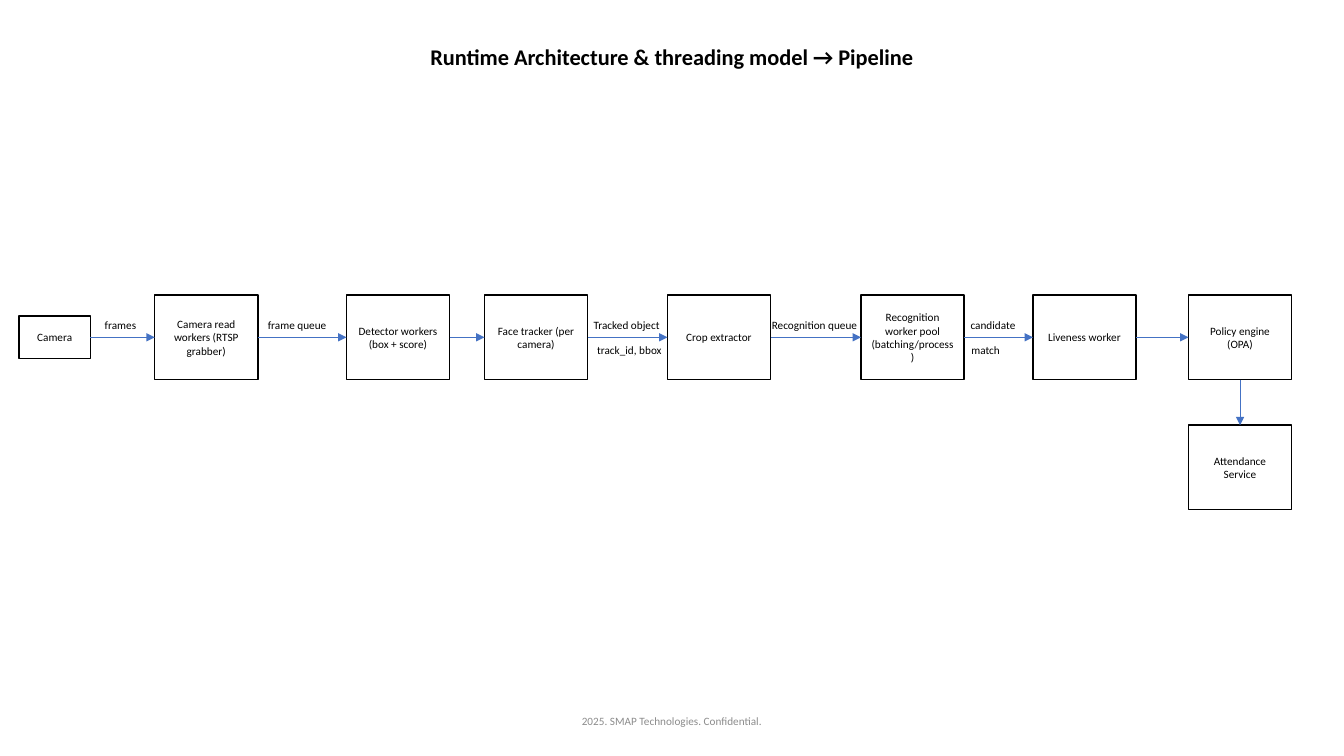
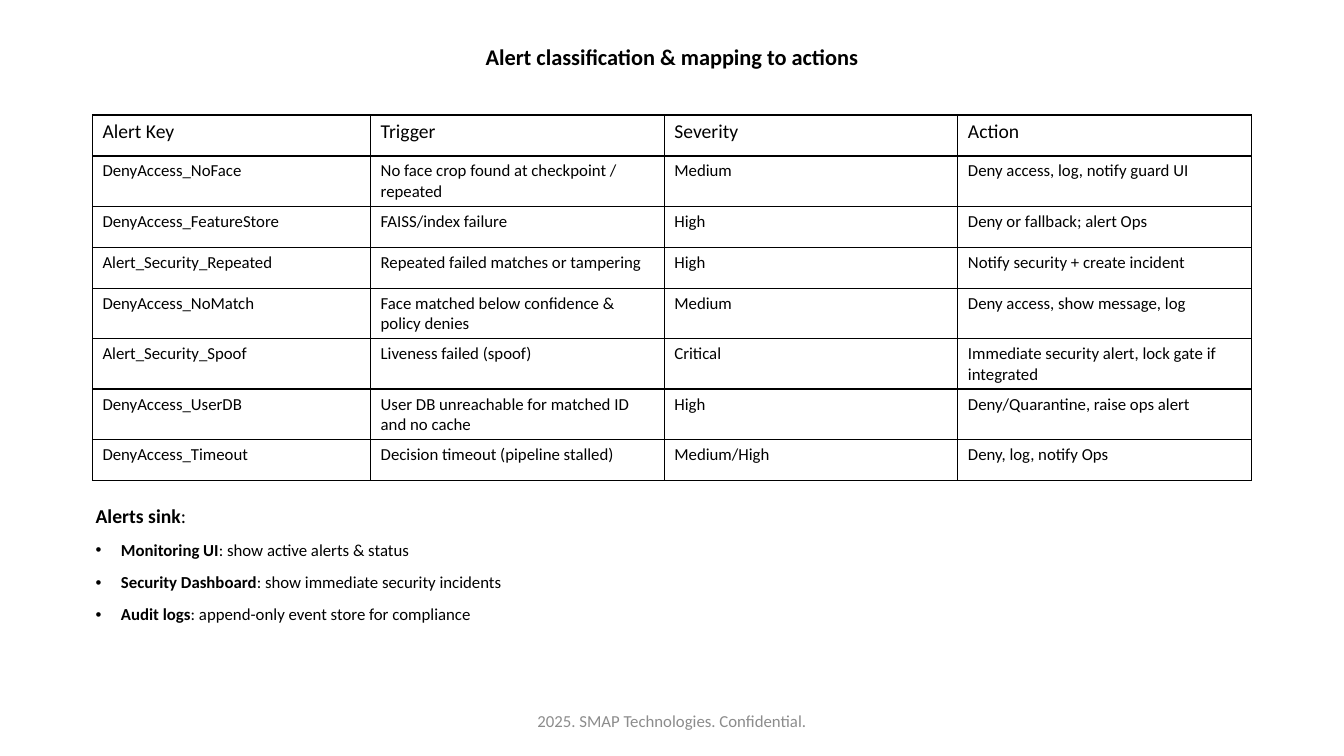
"""Builds two slides: the runtime pipeline and the alert mapping."""
from lxml.etree import SubElement
from pptx import Presentation
from pptx.dml.color import RGBColor
from pptx.enum.shapes import MSO_CONNECTOR, MSO_SHAPE
from pptx.enum.text import MSO_ANCHOR, PP_ALIGN
from pptx.oxml.ns import qn
from pptx.util import Cm, Pt

BLACK = RGBColor(0x00, 0x00, 0x00)
WHITE = RGBColor(0xFF, 0xFF, 0xFF)
GREY = RGBColor(0x8C, 0x8C, 0x8C)
BLUE = RGBColor(0x44, 0x72, 0xC4)
FONT = "Calibri"
TOP, LEFT, BOTTOM, RIGHT = range(4)


def add_run(paragraph, text, size, color=BLACK, bold=False):
    run = paragraph.add_run()
    run.text = text
    run.font.name = FONT
    run.font.size = Pt(size)
    run.font.bold = bold
    run.font.color.rgb = color


def add_frame(slide, left, top, width, height, wrap=True, anchor=MSO_ANCHOR.TOP):
    box = slide.shapes.add_textbox(Cm(left), Cm(top), Cm(width), Cm(height))
    box.text_frame.word_wrap = wrap
    box.text_frame.vertical_anchor = anchor
    return box.text_frame


prs = Presentation()
prs.slide_width, prs.slide_height = Cm(33.87), Cm(19.05)

slides = []
for heading, footer_size in [
    ("Runtime Architecture & threading model → Pipeline", 8),
    ("Alert classification & mapping to actions", 12),
]:
    slide = prs.slides.add_slide(prs.slide_layouts[6])
    title = add_frame(slide, 2.33, 1.02, 29.21, 0.89, anchor=MSO_ANCHOR.MIDDLE).paragraphs[0]
    title.alignment = PP_ALIGN.CENTER
    title.line_spacing = 0.9
    add_run(title, heading, 16, bold=True)
    footer = add_frame(slide, 11.22, 17.65, 11.43, 1.02, anchor=MSO_ANCHOR.MIDDLE).paragraphs[0]
    footer.alignment = PP_ALIGN.CENTER
    add_run(footer, "2025. SMAP Technologies. Confidential.", footer_size, GREY)
    slides.append(slide)
pipeline_slide, alerts_slide = slides

STAGE_W, STAGE_H = 2.6, 2.13
FLOW_Y, SERVICE_Y = 8.5, 11.78
stages = []
for name, left, middle, width, height in [
    ("Camera", 0.48, FLOW_Y, 1.8, 1.08),
    ("Camera read workers (RTSP grabber)", 3.9, FLOW_Y, STAGE_W, STAGE_H),
    ("Detector workers (box + score)", 8.73, FLOW_Y, STAGE_W, STAGE_H),
    ("Face tracker (per camera)", 12.21, FLOW_Y, STAGE_W, STAGE_H),
    ("Crop extractor", 16.82, FLOW_Y, STAGE_W, STAGE_H),
    ("Recognition worker pool (batching/process)", 21.7, FLOW_Y, STAGE_W, STAGE_H),
    ("Liveness worker", 26.03, FLOW_Y, STAGE_W, STAGE_H),
    ("Policy engine (OPA)", 29.95, FLOW_Y, STAGE_W, STAGE_H),
    ("Attendance Service", 29.95, SERVICE_Y, STAGE_W, STAGE_H),
]:
    stage = pipeline_slide.shapes.add_shape(
        MSO_SHAPE.RECTANGLE, Cm(left), Cm(middle - height / 2), Cm(width), Cm(height))
    stage.shadow.inherit = False
    stage.fill.solid()
    stage.fill.fore_color.rgb = WHITE
    stage.line.color.rgb = BLACK
    stage.line.width = Pt(1)
    stage.text_frame.word_wrap = True
    stage.text_frame.vertical_anchor = MSO_ANCHOR.MIDDLE
    stage_name = stage.text_frame.paragraphs[0]
    stage_name.alignment = PP_ALIGN.CENTER
    add_run(stage_name, name, 8)
    stages.append(stage)

for source, target in zip(stages, stages[1:]):
    exit_side, entry_side = (BOTTOM, TOP) if target is stages[-1] else (RIGHT, LEFT)
    arrow = pipeline_slide.shapes.add_connector(MSO_CONNECTOR.STRAIGHT, 0, 0, 0, 0)
    arrow.begin_connect(source, exit_side)
    arrow.end_connect(target, entry_side)
    arrow.line.color.rgb = BLUE
    arrow.line.width = Pt(0.5)
    SubElement(arrow.get_or_add_ln(), qn("a:tailEnd"), type="triangle")
    SubElement(arrow.element.spPr, qn("a:effectLst"))

ABOVE, BELOW = 7.9, 8.52
for message, left, top, width in [
    ("frames", 2.39, ABOVE, 1.32),
    ("frame queue", 6.5, ABOVE, 2.01),
    ("Tracked object", 14.71, ABOVE, 2.21),
    ("track_id, bbox", 14.8, BELOW, 2.16),
    ("Recognition queue", 19.2, ABOVE, 2.69),
    ("candidate", 24.21, ABOVE, 1.68),
    ("match", 24.23, BELOW, 1.24),
]:
    label = add_frame(pipeline_slide, left, top, width, 0.6, wrap=False)
    add_run(label.paragraphs[0], message, 8)

ALERTS = [
    ("Alert Key", "Trigger", "Severity", "Action"),
    ("DenyAccess_NoFace", "No face crop found at checkpoint / repeated", "Medium",
     "Deny access, log, notify guard UI"),
    ("DenyAccess_FeatureStore", "FAISS/index failure", "High", "Deny or fallback; alert Ops"),
    ("Alert_Security_Repeated", "Repeated failed matches or tampering", "High",
     "Notify security + create incident"),
    ("DenyAccess_NoMatch", "Face matched below confidence & policy denies", "Medium",
     "Deny access, show message, log"),
    ("Alert_Security_Spoof", "Liveness failed (spoof)", "Critical",
     "Immediate security alert, lock gate if integrated"),
    ("DenyAccess_UserDB", "User DB unreachable for matched ID and no cache", "High",
     "Deny/Quarantine, raise ops alert"),
    ("DenyAccess_Timeout", "Decision timeout (pipeline stalled)", "Medium/High",
     "Deny, log, notify Ops"),
]
COLUMN_WIDTHS = [7.01, 7.4, 7.4, 7.4]
ROW_H = 1.03
alerts = alerts_slide.shapes.add_table(
    len(ALERTS), len(COLUMN_WIDTHS), Cm(2.33), Cm(2.9),
    Cm(sum(COLUMN_WIDTHS)), Cm(ROW_H * len(ALERTS))).table
alerts.first_row = alerts.horz_banding = False
for column, width in zip(alerts.columns, COLUMN_WIDTHS):
    column.width = Cm(width)
for row_index, entries in enumerate(ALERTS):
    alerts.rows[row_index].height = Cm(ROW_H)
    for column_index, entry in enumerate(entries):
        cell = alerts.cell(row_index, column_index)
        add_run(cell.text_frame.paragraphs[0], entry, 12 if row_index else 14)
        properties = cell._tc.get_or_add_tcPr()
        for edge in ("a:lnL", "a:lnR", "a:lnT", "a:lnB"):
            border = SubElement(properties, qn(edge), w=str(Pt(1)))
            border_fill = SubElement(border, qn("a:solidFill"))
            SubElement(border_fill, qn("a:srgbClr"), val=str(BLACK))
        cell.fill.background()

sinks = add_frame(alerts_slide, 2.16, 12.65, 23.83, 4.45)
sinks_heading = sinks.paragraphs[0]
sinks_heading.line_spacing = 0.9
add_run(sinks_heading, "Alerts sink", 14, bold=True)
add_run(sinks_heading, ":", 14)
for sink, purpose in [
    ("Monitoring UI", ": show active alerts & status"),
    ("Security Dashboard", ": show immediate security incidents"),
    ("Audit logs", ": append-only event store for compliance"),
]:
    item = sinks.add_paragraph()
    indents = item._p.get_or_add_pPr()
    indents.set("marL", str(Cm(0.64)))
    indents.set("indent", str(-Cm(0.64)))
    SubElement(indents, qn("a:buFont"), typeface="Arial")
    SubElement(indents, qn("a:buChar"), char="•")
    item.line_spacing = 0.9
    item.space_before = Pt(10)
    add_run(item, sink, 12, bold=True)
    add_run(item, purpose, 12)

prs.save("out.pptx")
